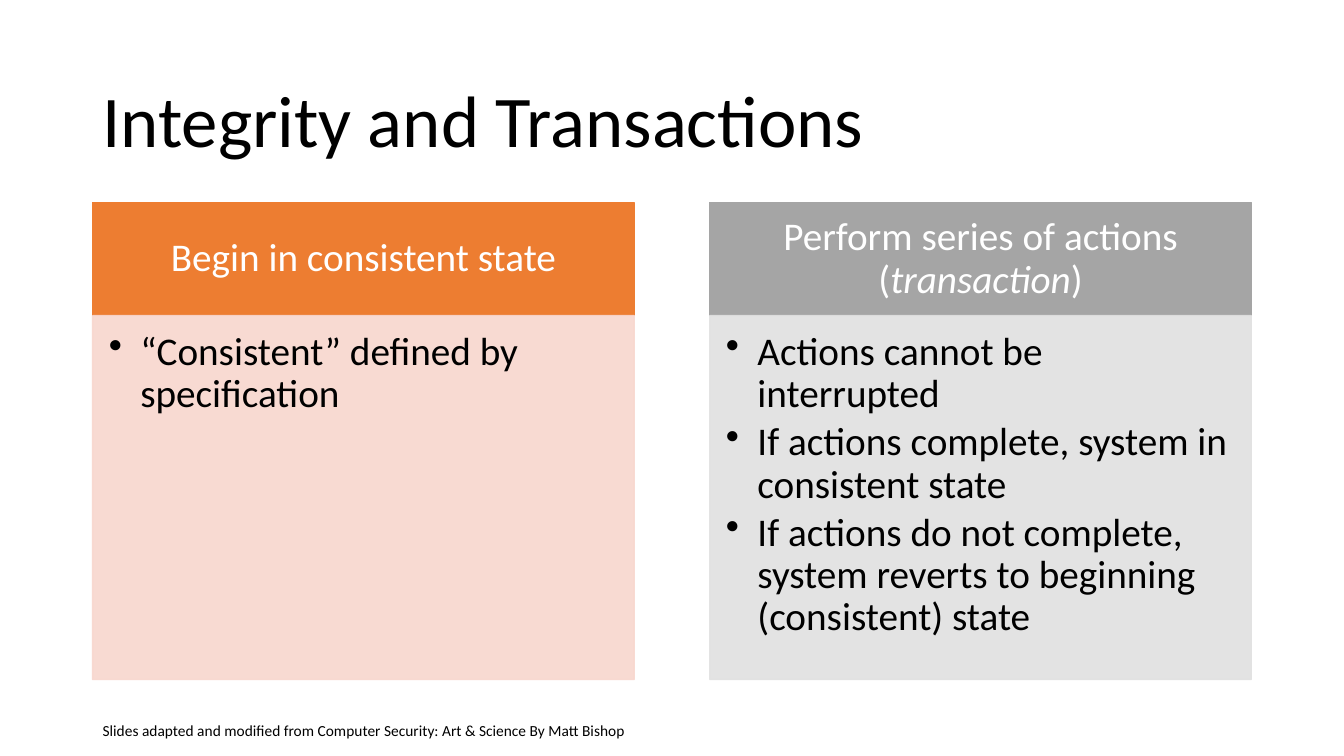
import pptx
import pptx.util
import pptx.dml.color
import pptx.enum.shapes
import pptx.enum.text
import pptx.oxml.ns
from lxml import etree

Pt = pptx.util.Pt
ALIGN = pptx.enum.text.PP_ALIGN
ANCHOR = pptx.enum.text.MSO_ANCHOR

TITLE = "Integrity and Transactions"
COLUMNS = [
    {
        "heading": [("Begin in consistent state", False)],
        "points": ["“Consistent” defined by specification"],
        "colors": ("orange", "peach"),
    },
    {
        "heading": [("Perform series of actions (", False), ("transaction", True), (")", False)],
        "points": [
            "Actions cannot be interrupted",
            "If actions complete, system in consistent state",
            "If actions do not complete, system reverts to beginning (consistent) state",
        ],
        "colors": ("gray", "light_gray"),
    },
]
CREDIT = "Slides adapted and modified from Computer Security: Art & Science By Matt Bishop"
COLORS = {
    "black": "000000",
    "white": "FFFFFF",
    "orange": "ED7D31",
    "peach": "F8D7CE",
    "gray": "A5A5A5",
    "light_gray": "E1E1E1",
}
FONT = "Calibri"
LEFT, COLUMN_WIDTH, COLUMN_STEP = 66.2, 386.8, 440.8
HEADING_TOP, HEADING_HEIGHT, POINTS_HEIGHT = 144.8, 80.6, 260


def rgb(name):
    return pptx.dml.color.RGBColor.from_string(COLORS[name])


def write(shape, paragraphs, size=28, color="black", align=ALIGN.LEFT, anchor=ANCHOR.TOP,
          insets=(7.2, 3.6, 7.2, 3.6), line_spacing=0.9, gap=0, bullet_indent=0):
    frame = shape.text_frame
    frame.word_wrap = True
    frame.vertical_anchor = anchor
    frame.margin_left, frame.margin_top, frame.margin_right, frame.margin_bottom = map(Pt, insets)
    for index, runs in enumerate(paragraphs):
        paragraph = frame.add_paragraph() if index else frame.paragraphs[0]
        if bullet_indent:
            properties = paragraph._p.get_or_add_pPr()
            properties.set("marL", str(Pt(bullet_indent)))
            properties.set("indent", str(-Pt(bullet_indent)))
            bullet = etree.SubElement(properties, pptx.oxml.ns.qn("a:buChar"))
            bullet.set("char", "•")
        paragraph.alignment = align
        paragraph.line_spacing = line_spacing
        paragraph.space_after = Pt(gap)
        for text, italic in runs:
            run = paragraph.add_run()
            run.text = text
            run.font.name = FONT
            run.font.size = Pt(size)
            run.font.italic = italic
            run.font.color.rgb = rgb(color)


def add_panel(slide, left, top, height, color, opacity=100):
    panel = slide.shapes.add_shape(
        pptx.enum.shapes.MSO_SHAPE.RECTANGLE, Pt(left), Pt(top), Pt(COLUMN_WIDTH), Pt(height))
    panel.shadow.inherit = False
    panel.fill.solid()
    panel.fill.fore_color.rgb = rgb(color)
    panel.line.color.rgb = rgb(color)
    panel.line.width = Pt(1)
    if opacity < 100:
        for swatch in panel._element.spPr.iter(pptx.oxml.ns.qn("a:srgbClr")):
            etree.SubElement(swatch, pptx.oxml.ns.qn("a:alpha")).set("val", str(opacity * 1000))
    return panel


def main():
    deck = pptx.Presentation()
    deck.slide_width, deck.slide_height = Pt(960), Pt(540)
    slide = deck.slides.add_slide(deck.slide_layouts[6])

    title = slide.shapes.add_textbox(Pt(LEFT), Pt(44), Pt(828), Pt(89.3))
    write(title, [[(TITLE, False)]], size=52, anchor=ANCHOR.MIDDLE)

    for number, column in enumerate(COLUMNS):
        left = LEFT + number * COLUMN_STEP
        heading_color, points_color = column["colors"]
        heading = add_panel(slide, left, HEADING_TOP, HEADING_HEIGHT, heading_color)
        write(heading, [column["heading"]], color="white", align=ALIGN.CENTER,
              anchor=ANCHOR.MIDDLE, insets=(15.8, 8.6, 15.8, 8.6))
        points = add_panel(slide, left, HEADING_TOP + HEADING_HEIGHT, POINTS_HEIGHT,
                           points_color, opacity=90)
        write(points, [[(point, False)] for point in column["points"]],
              insets=(11.5, 11.5, 15.8, 17.3), gap=4, bullet_indent=22.5)

    credit = slide.shapes.add_textbox(Pt(LEFT), Pt(511.2), Pt(785), Pt(20.6))
    write(credit, [[(CREDIT, False)]], size=11, line_spacing=1)

    deck.save("out.pptx")


if __name__ == "__main__":
    main()
